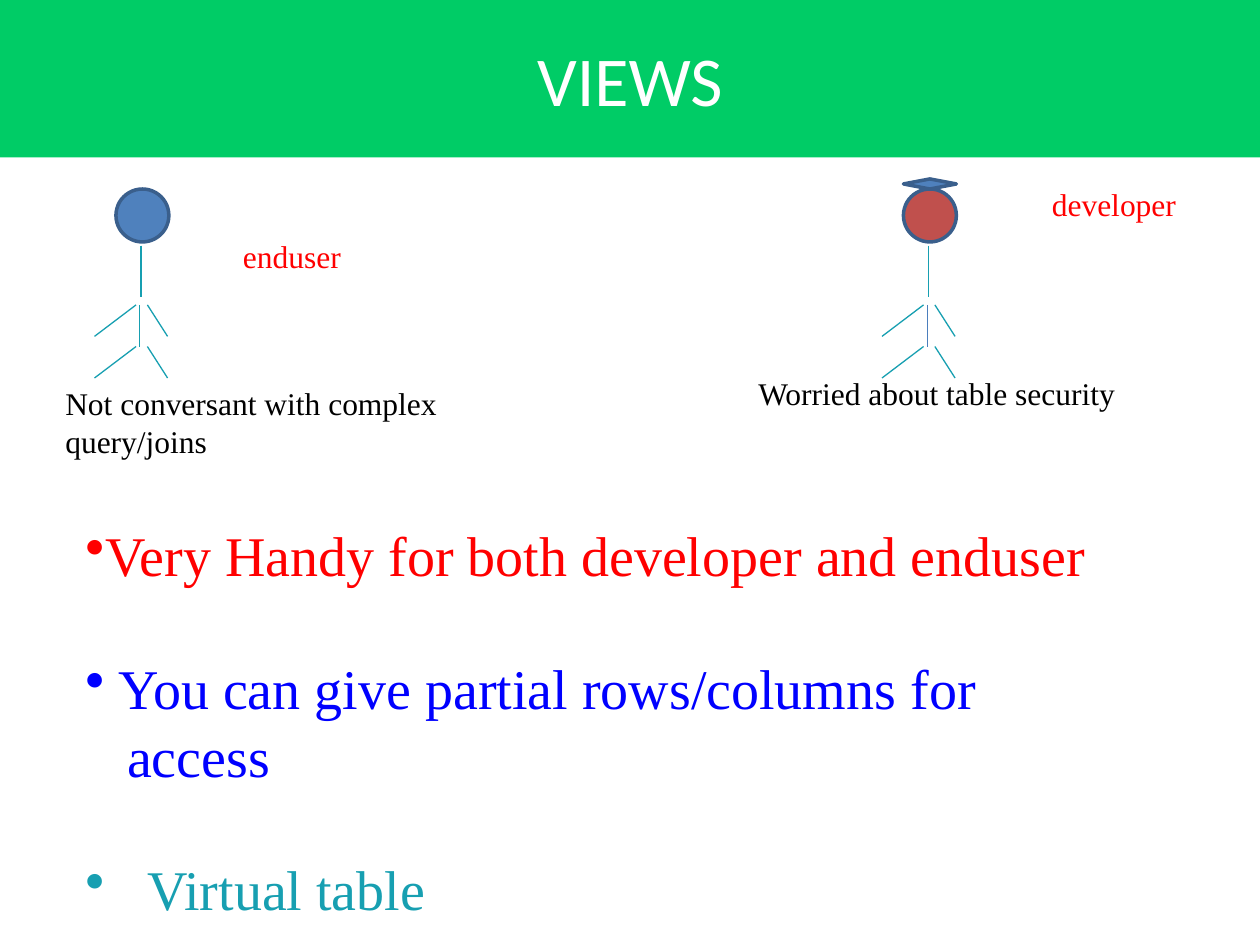
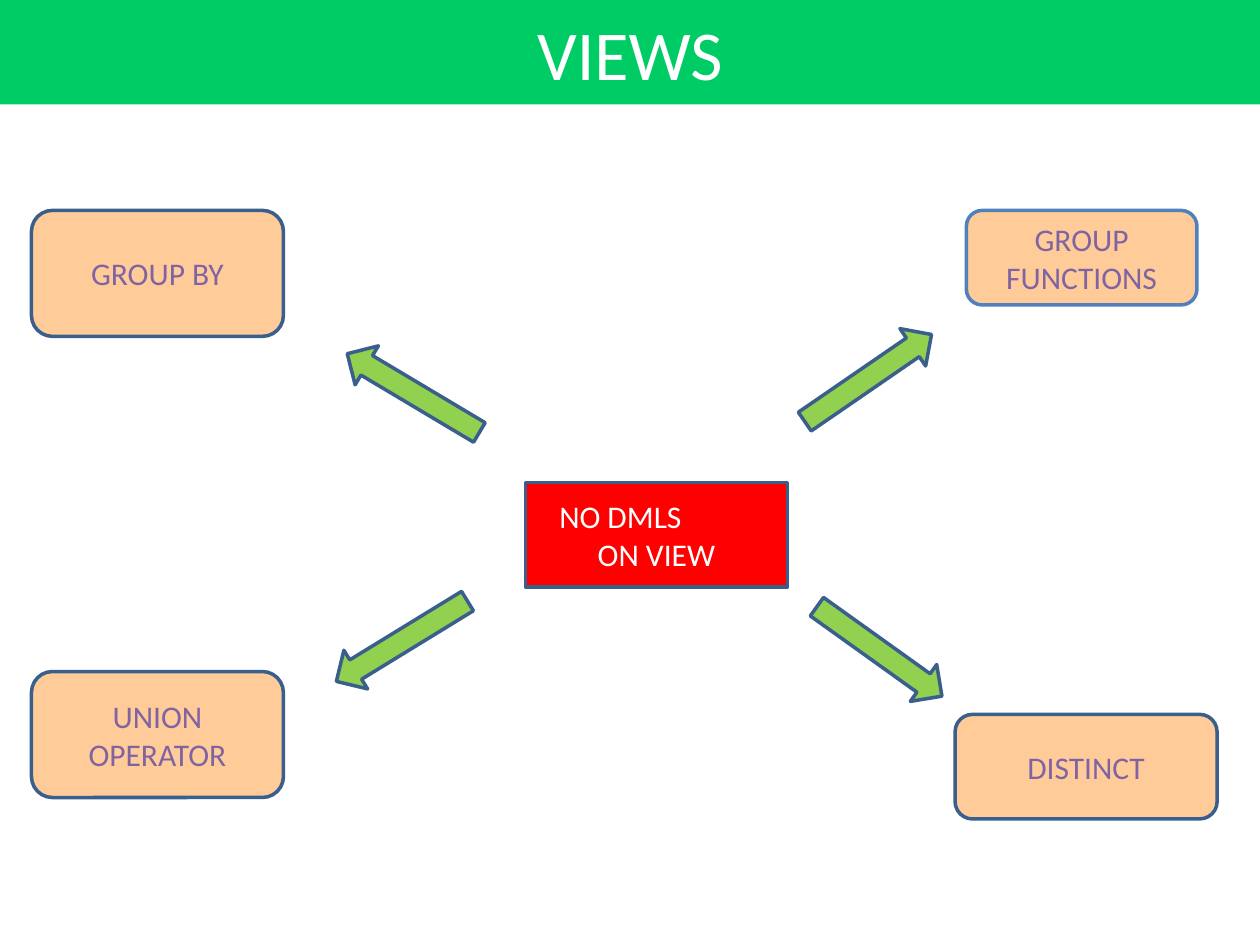
from dataclasses import dataclass

import pptx
import pptx.dml.color
import pptx.enum.shapes
import pptx.enum.text
import pptx.oxml.ns
import pptx.shapes.autoshape
import pptx.shapes.base
import pptx.slide
import pptx.text.text
import pptx.util
from lxml import etree

Inches = pptx.util.Inches
Pt = pptx.util.Pt
RGB = pptx.dml.color.RGBColor
SHAPE = pptx.enum.shapes.MSO_SHAPE
ALIGN = pptx.enum.text.PP_ALIGN
ANCHOR = pptx.enum.text.MSO_ANCHOR
qn = pptx.oxml.ns.qn


@dataclass(frozen=True)
class Theme:
    sans: str = "Calibri"
    serif: str = "Times New Roman"
    title_size: float = 40
    point_size: float = 32
    label_size: float = 18
    edge_width: float = 2
    limb_width: float = 0.75
    point_gap: float = 38
    band: str = "00CC66"
    white: str = "FFFFFF"
    black: str = "000000"
    red: str = "FF0000"
    blue: str = "0000FF"
    teal: str = "179FB1"
    edge: str = "3A5F8C"
    accent: str = "4F81BD"
    spine: str = "4B7EBC"
    brick: str = "C0504D"
    peach: str = "FFCC99"
    purple: str = "8064A2"
    green: str = "92D050"


THEME = Theme()


@dataclass(frozen=True)
class Box:
    left: float
    top: float
    width: float
    height: float

    def emu(self) -> list[int]:
        return [Inches(v) for v in (self.left, self.top, self.width, self.height)]


@dataclass(frozen=True)
class Line:
    text: str
    color: str
    size: float = THEME.label_size
    font: str = THEME.serif
    align: ALIGN = ALIGN.LEFT
    bullet: bool = False
    indent: float = 0
    gap: float = 0


@dataclass(frozen=True)
class Person:
    left: float
    head: str
    spine: str


@dataclass(frozen=True)
class Restriction:
    text: str
    box: Box
    edge: str = THEME.edge


@dataclass(frozen=True)
class Arrow:
    left: float
    top: float
    rotation: float


TRUNK = ((0.2, 1.95), (0.2, 2.36))
SPINE = ((0.19, 2.42), (0.19, 2.75))
LIMBS = [
    ((start, top), (end, top + 0.25))
    for top in (2.42, 2.75)
    for start, end in ((0.16, -0.17), (0.25, 0.41))
]


def set_all(target: object, values: dict[str, object]) -> None:
    for name, value in values.items():
        setattr(target, name, value)


def write(frame: pptx.text.text.TextFrame, lines: list[Line]) -> None:
    frame.word_wrap = True
    for index, line in enumerate(lines):
        paragraph = frame.paragraphs[0] if index == 0 else frame.add_paragraph()
        set_all(paragraph, {"alignment": line.align, "space_before": Pt(line.gap)})
        run = paragraph.add_run()
        run.text = line.text
        set_all(run.font, {"name": line.font, "size": Pt(line.size)})
        run.font.color.rgb = RGB.from_string(line.color)
        properties = paragraph._p.get_or_add_pPr()
        properties.set("marL", str(Inches(line.indent)))
        properties.set("indent", str(-Inches(line.indent) if line.bullet else 0))
        if line.bullet:
            etree.SubElement(properties, qn("a:buChar"), char="•")


def add_text(slide: pptx.slide.Slide, box: Box, lines: list[Line]) -> None:
    write(slide.shapes.add_textbox(*box.emu()).text_frame, lines)


def add_block(
    slide: pptx.slide.Slide,
    kind: SHAPE,
    box: Box,
    fill: str,
    edge: str | None = THEME.edge,
    lines: list[Line] | None = None,
) -> pptx.shapes.autoshape.Shape:
    block = slide.shapes.add_shape(kind, *box.emu())
    block.shadow.inherit = False
    block.fill.solid()
    block.fill.fore_color.rgb = RGB.from_string(fill)
    if edge:
        block.line.color.rgb = RGB.from_string(edge)
        block.line.width = Pt(THEME.edge_width)
    else:
        block.line.fill.background()
    if lines:
        block.text_frame.vertical_anchor = ANCHOR.MIDDLE
        write(block.text_frame, lines)
    return block


def centred(text: str, color: str, size: float = THEME.label_size) -> Line:
    return Line(text, color, size, THEME.sans, ALIGN.CENTER)


def add_title(slide: pptx.slide.Slide, height: float) -> None:
    title = centred("VIEWS", THEME.white, THEME.title_size)
    add_block(slide, SHAPE.RECTANGLE, Box(0, 0, 10, height), THEME.band, None, [title])


def add_person(slide: pptx.slide.Slide, person: Person) -> None:
    add_block(slide, SHAPE.OVAL, Box(person.left, 1.5, 0.42, 0.42), person.head)
    strokes = [(stroke, THEME.teal) for stroke in (TRUNK, *LIMBS)]
    for (start, end), color in strokes + [(SPINE, person.spine)]:
        limb = slide.shapes.add_connector(
            pptx.enum.shapes.MSO_CONNECTOR.STRAIGHT,
            Inches(person.left + start[0]), Inches(start[1]),
            Inches(person.left + end[0]), Inches(end[1]),
        )
        limb.line.color.rgb = RGB.from_string(color)
        limb.line.width = Pt(THEME.limb_width)
        etree.SubElement(limb._element.spPr, qn("a:effectLst"))


def build_audience(slide: pptx.slide.Slide) -> None:
    add_title(slide, 1.25)
    size, gap = THEME.point_size, THEME.point_gap
    add_text(slide, Box(0.58, 4.08, 9.02, 3.3), [
        Line("Very Handy for both developer and enduser", THEME.red, size, bullet=True),
        Line("You can give partial rows/columns for", THEME.blue, size,
             bullet=True, indent=0.26, gap=gap),
        Line("access", THEME.blue, size, indent=0.33),
        Line("Virtual table", THEME.teal, size, bullet=True, indent=0.49, gap=gap),
    ])
    for person in (
        Person(0.92, THEME.accent, THEME.teal),
        Person(7.17, THEME.brick, THEME.spine),
    ):
        add_person(slide, person)
    add_block(slide, SHAPE.DIAMOND, Box(7.17, 1.42, 0.42, 0.08), THEME.accent)
    for text, color, box in (
        ("Not conversant with complex query/joins", THEME.black, Box(0.42, 3, 3.83, 0.71)),
        ("Worried about table security", THEME.black, Box(5.92, 2.92, 3.83, 0.4)),
        ("developer", THEME.red, Box(8.25, 1.42, 1.31, 0.4)),
        ("enduser", THEME.red, Box(1.83, 1.83, 1.11, 0.4)),
    ):
        add_text(slide, box, [Line(text, color)])


def build_restrictions(slide: pptx.slide.Slide) -> None:
    add_title(slide, 0.83)
    add_block(slide, SHAPE.RECTANGLE, Box(4.17, 3.83, 2.08, 0.83), THEME.red, lines=[
        Line("NO DMLS", THEME.white, font=THEME.sans, indent=0.17),
        centred("ON VIEW", THEME.white),
    ])
    for item in (
        Restriction("GROUP FUNCTIONS", Box(7.67, 1.67, 1.83, 0.75), THEME.accent),
        Restriction("GROUP BY", Box(0.25, 1.67, 2, 1)),
        Restriction("DISTINCT", Box(7.58, 5.67, 2.08, 0.83)),
        Restriction("UNION OPERATOR", Box(0.25, 5.33, 2, 1)),
    ):
        add_block(slide, SHAPE.ROUNDED_RECTANGLE, item.box, THEME.peach, item.edge,
                  [centred(item.text, THEME.purple)])
    for arrow in (
        Arrow(6.28, 2.82, 145.5),
        Arrow(6.37, 4.99, 215.6),
        Arrow(2.58, 4.91, 328.5),
        Arrow(2.67, 2.94, 30.8),
    ):
        pointer = add_block(slide, SHAPE.LEFT_ARROW,
                            Box(arrow.left, arrow.top, 1.22, 0.36), THEME.green)
        pointer.rotation = arrow.rotation


def main() -> None:
    deck = pptx.Presentation()
    set_all(deck, {"slide_width": Inches(10), "slide_height": Inches(7.5)})
    for build in (build_audience, build_restrictions):
        build(deck.slides.add_slide(deck.slide_layouts[6]))
    deck.save("out.pptx")


if __name__ == "__main__":
    main()
